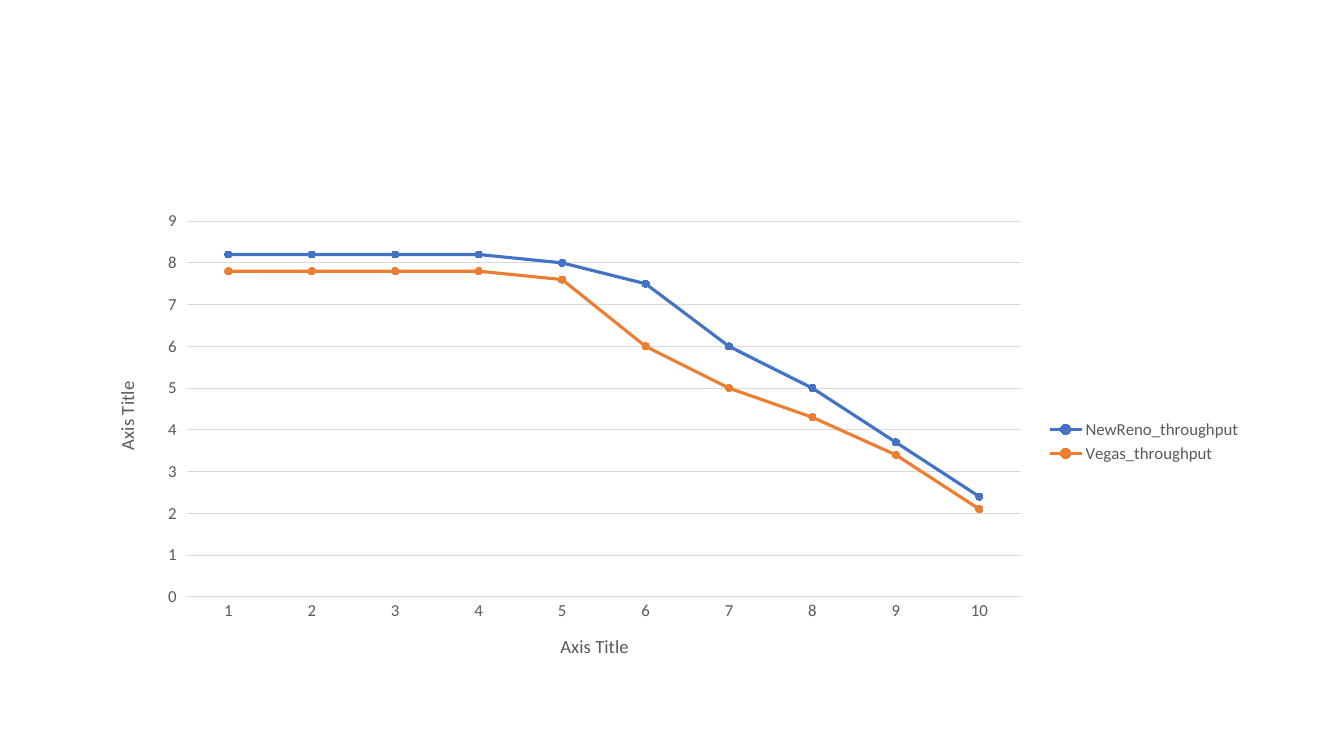
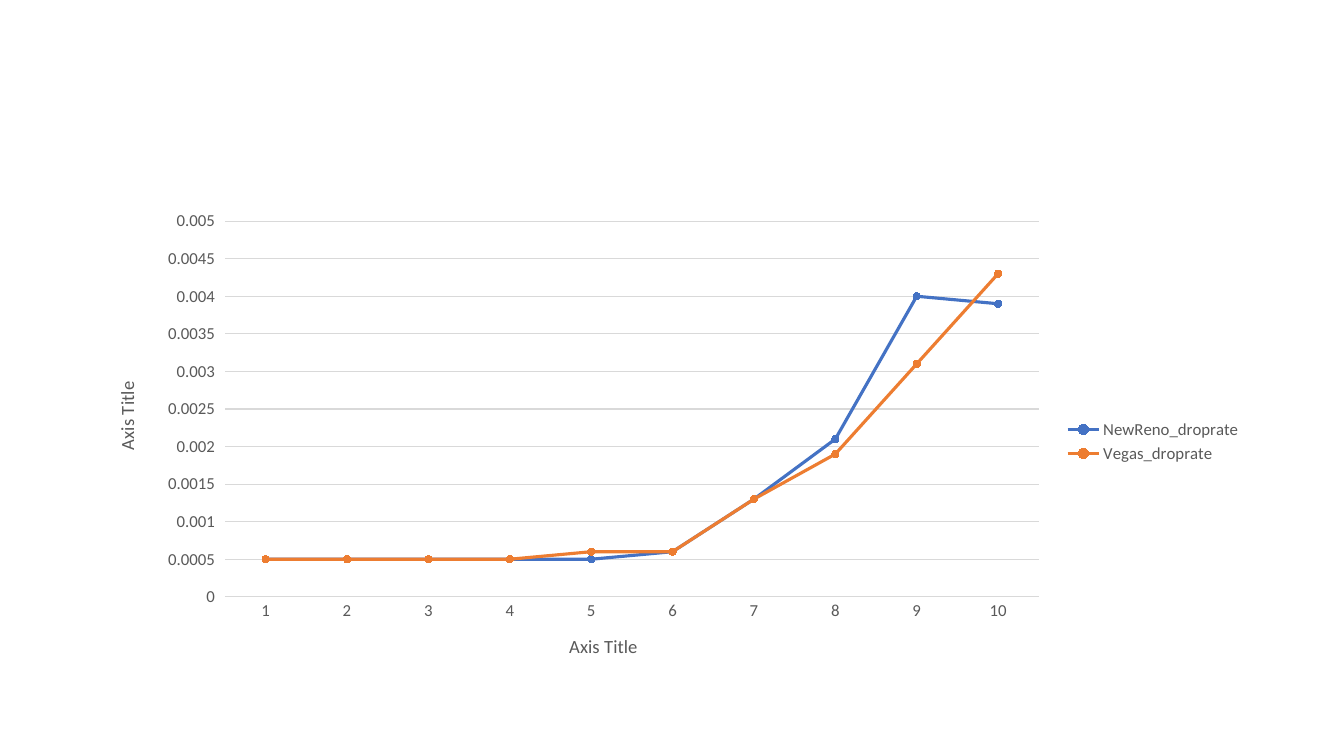
from pptx import Presentation
from pptx.chart.data import CategoryChartData
from pptx.dml.color import RGBColor
from pptx.enum.chart import XL_CHART_TYPE as ChartType, XL_LEGEND_POSITION as LegendPos
from pptx.enum.chart import XL_MARKER_STYLE as Marker, XL_TICK_MARK as Tick
from pptx.util import Inches, Pt

# Shared look
FONT = "Calibri"
GRAY, GRID = "595959", "D9D9D9"
SERIES_COLORS = ["4472C4", "ED7D31"]


def rgb(value):
    return RGBColor.from_string(value)


def style_font(font, size):
    font.name = FONT
    font.size = Pt(size)
    font.bold = False
    font.color.rgb = rgb(GRAY)


# One comparison per slide: axis maximum, axis step, series
comparisons = [
    (9, 1, {
        "NewReno_throughput": [8.2, 8.2, 8.2, 8.2, 8, 7.5, 6, 5, 3.7, 2.4],
        "Vegas_throughput": [7.8, 7.8, 7.8, 7.8, 7.6, 6, 5, 4.3, 3.4, 2.1],
    }),
    (0.005, 0.0005, {
        "NewReno_droprate": [0.0005, 0.0005, 0.0005, 0.0005, 0.0005,
                             0.0006, 0.0013, 0.0021, 0.004, 0.0039],
        "Vegas_droprate": [0.0005, 0.0005, 0.0005, 0.0005, 0.0006,
                           0.0006, 0.0013, 0.0019, 0.0031, 0.0043],
    }),
]

prs = Presentation()
prs.slide_width, prs.slide_height = Inches(13.33), Inches(7.5)
blank = prs.slide_layouts[6]

for top_value, step, measurements in comparisons:
    slide = prs.slides.add_slide(blank)

    # Data
    data = CategoryChartData(number_format="General")
    data.categories = [str(n) for n in range(1, 11)]
    for name, values in measurements.items():
        data.add_series(name, values)
    chart = slide.shapes.add_chart(
        ChartType.LINE_MARKERS, Inches(0.92), Inches(2),
        Inches(11.5), Inches(4.76), data).chart
    chart.has_title = False
    chart.font.name = FONT
    chart.font.size = Pt(10)

    # Axes
    runs, rate = chart.category_axis, chart.value_axis
    for axis in (runs, rate):
        style_font(axis.tick_labels.font, 12)
        caption = axis.axis_title.text_frame
        caption.text = "Axis Title"
        style_font(caption.paragraphs[0].runs[0].font, 13.3)
    runs.major_tick_mark = Tick.NONE
    runs.format.line.color.rgb = rgb(GRID)
    runs.format.line.width = Pt(0.75)
    rate.minimum_scale, rate.maximum_scale, rate.major_unit = 0, top_value, step
    rate.major_tick_mark = Tick.OUTSIDE
    rate.format.line.fill.background()
    rate.major_gridlines.format.line.color.rgb = rgb(GRID)
    rate.major_gridlines.format.line.width = Pt(0.75)

    # Legend
    chart.has_legend = True
    chart.legend.position = LegendPos.RIGHT
    chart.legend.include_in_layout = False
    style_font(chart.legend.font, 12)

    # Series
    for series, color in zip(chart.plots[0].series, SERIES_COLORS):
        series.smooth = False
        series.format.line.color.rgb = rgb(color)
        series.format.line.width = Pt(2.25)
        series.marker.style = Marker.CIRCLE
        series.marker.size = 5
        series.marker.format.fill.solid()
        series.marker.format.fill.fore_color.rgb = rgb(color)
        series.marker.format.line.color.rgb = rgb(color)

prs.save("out.pptx")
